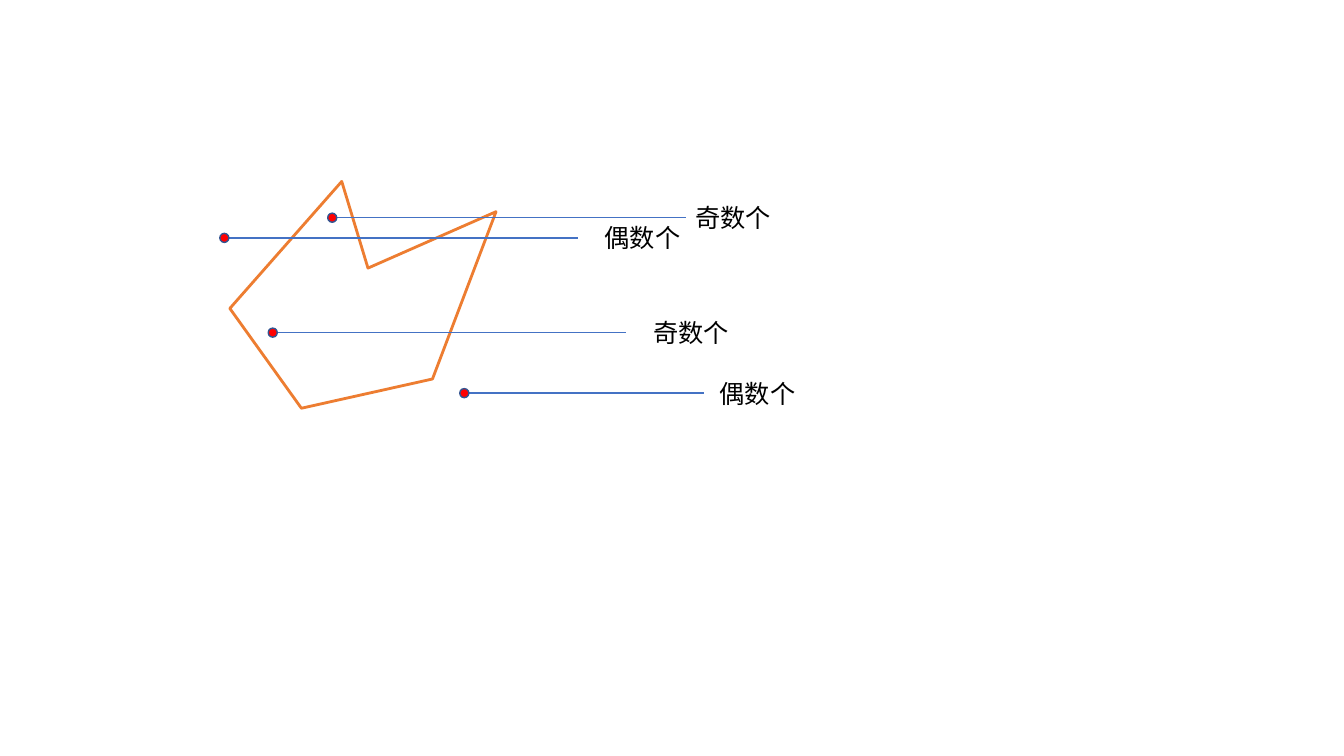
from lxml import etree
from pptx import Presentation
from pptx.dml.color import RGBColor
from pptx.enum.shapes import MSO_CONNECTOR, MSO_SHAPE
from pptx.enum.text import MSO_AUTO_SIZE
from pptx.oxml.ns import qn
from pptx.util import Inches, Pt

LINE = MSO_CONNECTOR.STRAIGHT
OVAL = MSO_SHAPE.OVAL
GROW = MSO_AUTO_SIZE.SHAPE_TO_FIT_TEXT
ORANGE = RGBColor(0xED, 0x7D, 0x31)
BLUE = RGBColor(0x44, 0x72, 0xC4)
NAVY = RGBColor(0x32, 0x54, 0x91)
RED = RGBColor(0xFF, 0x00, 0x00)
BLACK = RGBColor(0x00, 0x00, 0x00)
FONT = "Noto Sans CJK SC"
DOT = 0.09
CORNERS = [(0, 1.26), (1.11, 0), (1.37, 0.86), (2.64, 0.3), (2.01, 1.96), (0.71, 2.25)]
RAYS = [
    (2.18, 2.36, 3.46, 0.17, "偶数个"),
    (3.25, 2.16, 3.46, 0, "奇数个"),
    (2.66, 3.3, 3.46, 0.17, "奇数个"),
    (4.56, 3.9, 2.33, 0.06, "偶数个"),
]


def add_outline(slide, left, top):
    """Draw the polygon with its bounding box at left, top."""
    points = [(Inches(left + x), Inches(top + y)) for x, y in CORNERS]
    pen = slide.shapes.build_freeform(*points[0])
    pen.add_line_segments(points[1:], close=True)
    shape = pen.convert_to_shape()
    shape.shadow.inherit = False
    shape.fill.background()
    shape.line.color.rgb = ORANGE
    shape.line.width = Pt(2)


def add_label(slide, left, mid, text):
    """Write a crossing count centred on the height mid."""
    box = slide.shapes.add_textbox(Inches(left), Inches(mid - 0.2), Inches(0.96), Inches(0.4))
    frame = box.text_frame
    frame.text = text
    frame.word_wrap = False
    frame.auto_size = GROW
    run = frame.paragraphs[0].runs[0]
    run.font.size = Pt(18)
    run.font.name = FONT
    run.font.color.rgb = BLACK
    etree.SubElement(run.font._element, qn("a:ea")).set("typeface", FONT)


def add_ray(slide, left, mid, length, gap, text):
    """Draw a test point, the ray to its right and the count at its end."""
    start = left + DOT
    end = start + length
    ray = slide.shapes.add_connector(LINE, Inches(start), Inches(mid), Inches(end), Inches(mid))
    ray.line.color.rgb = BLUE
    ray.line.width = Pt(1)
    etree.SubElement(ray._element.spPr, qn("a:effectLst"))
    dot = slide.shapes.add_shape(
        OVAL, Inches(left), Inches(mid - DOT / 2), Inches(DOT), Inches(DOT))
    dot.shadow.inherit = False
    dot.fill.solid()
    dot.fill.fore_color.rgb = RED
    dot.line.color.rgb = NAVY
    dot.line.width = Pt(1)
    add_label(slide, end + gap, mid, text)


def main():
    """Build and save the slide."""
    deck = Presentation()
    deck.slide_width = Inches(13.33)
    deck.slide_height = Inches(7.5)
    slide = deck.slides.add_slide(deck.slide_layouts[6])
    add_outline(slide, 2.28, 1.8)
    for ray in RAYS:
        add_ray(slide, *ray)
    deck.save("out.pptx")


if __name__ == "__main__":
    main()
